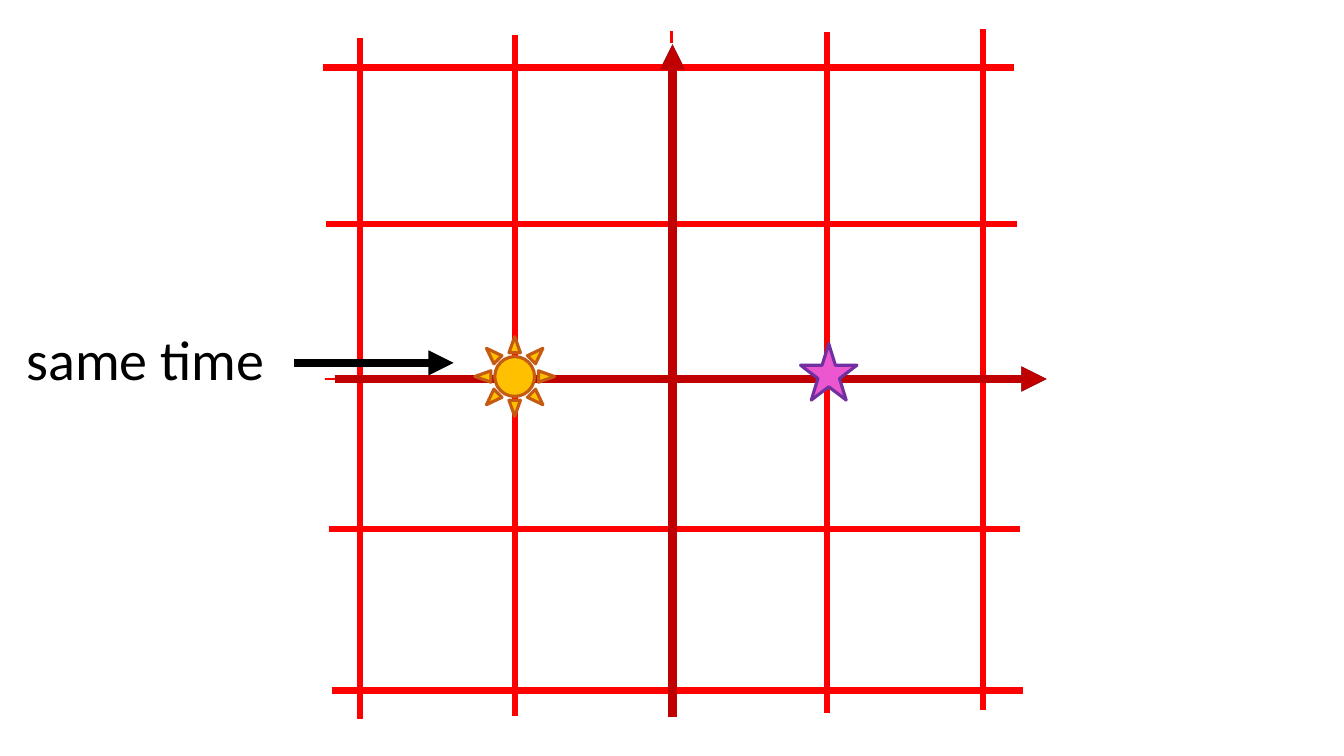
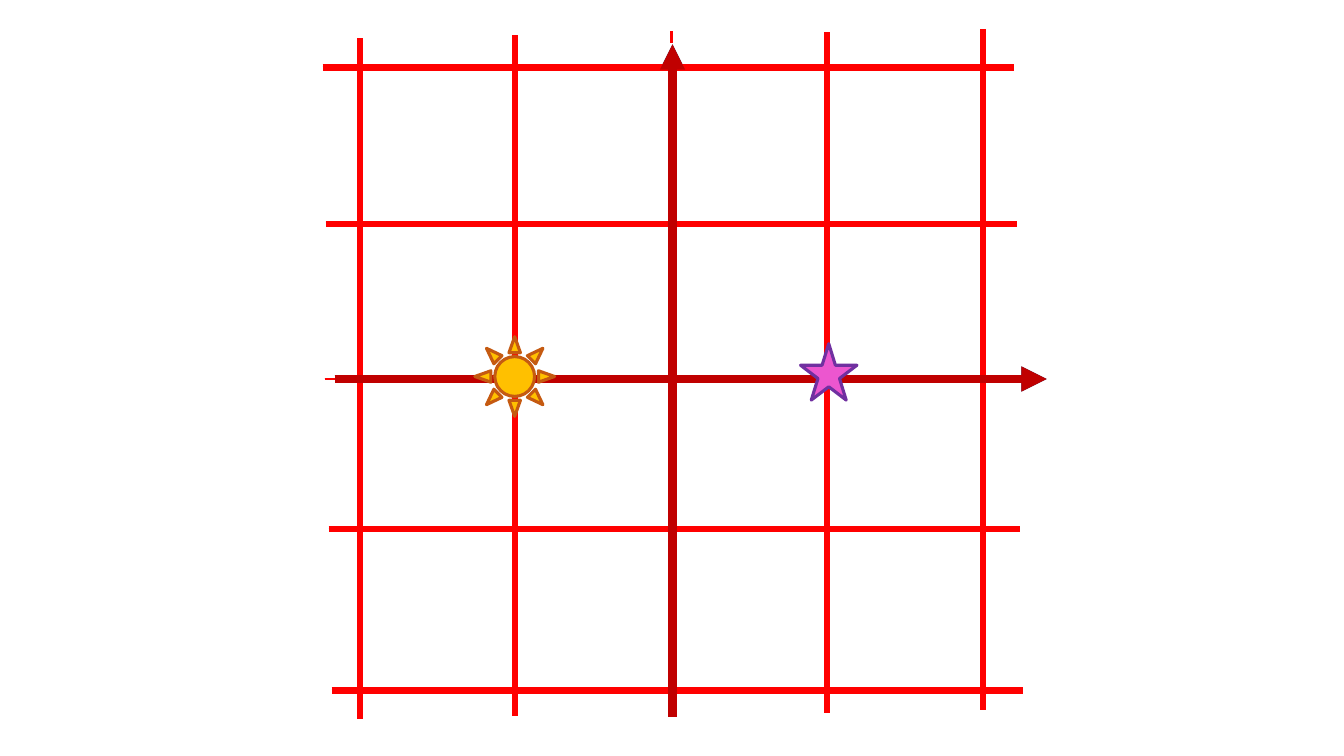
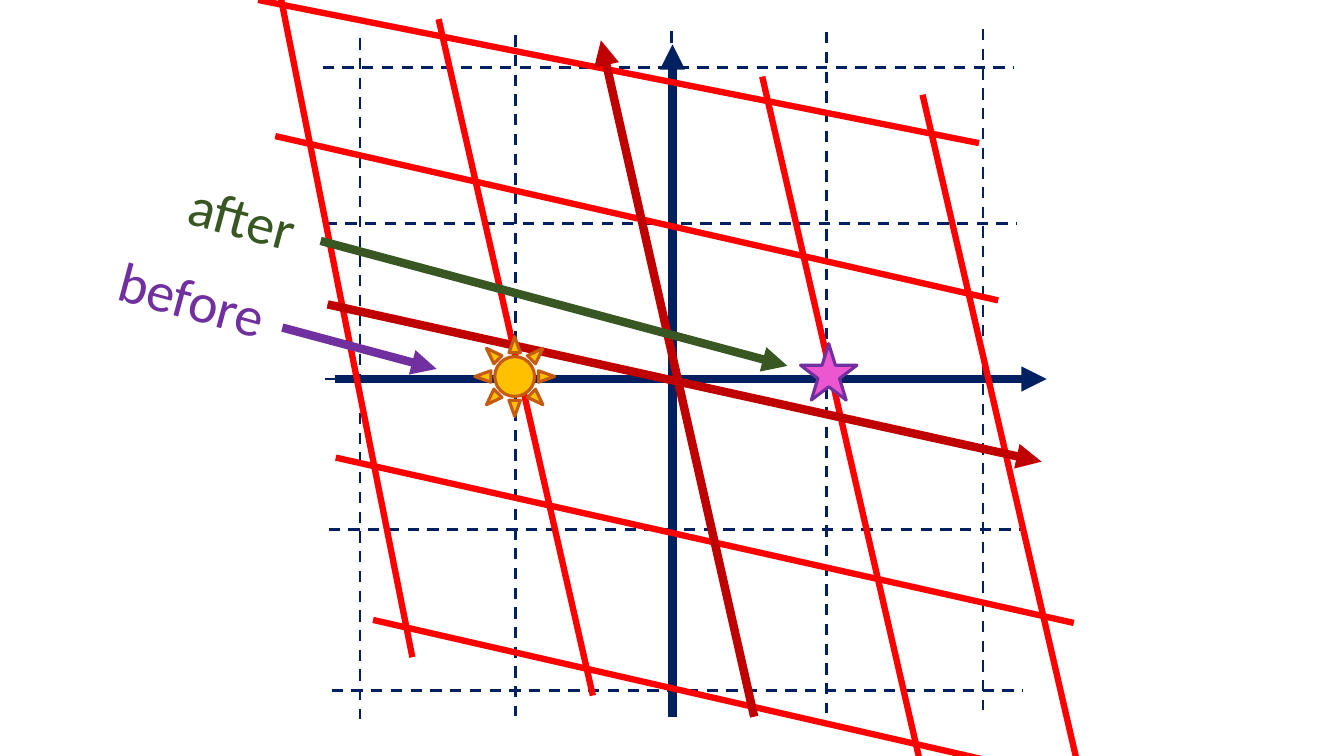
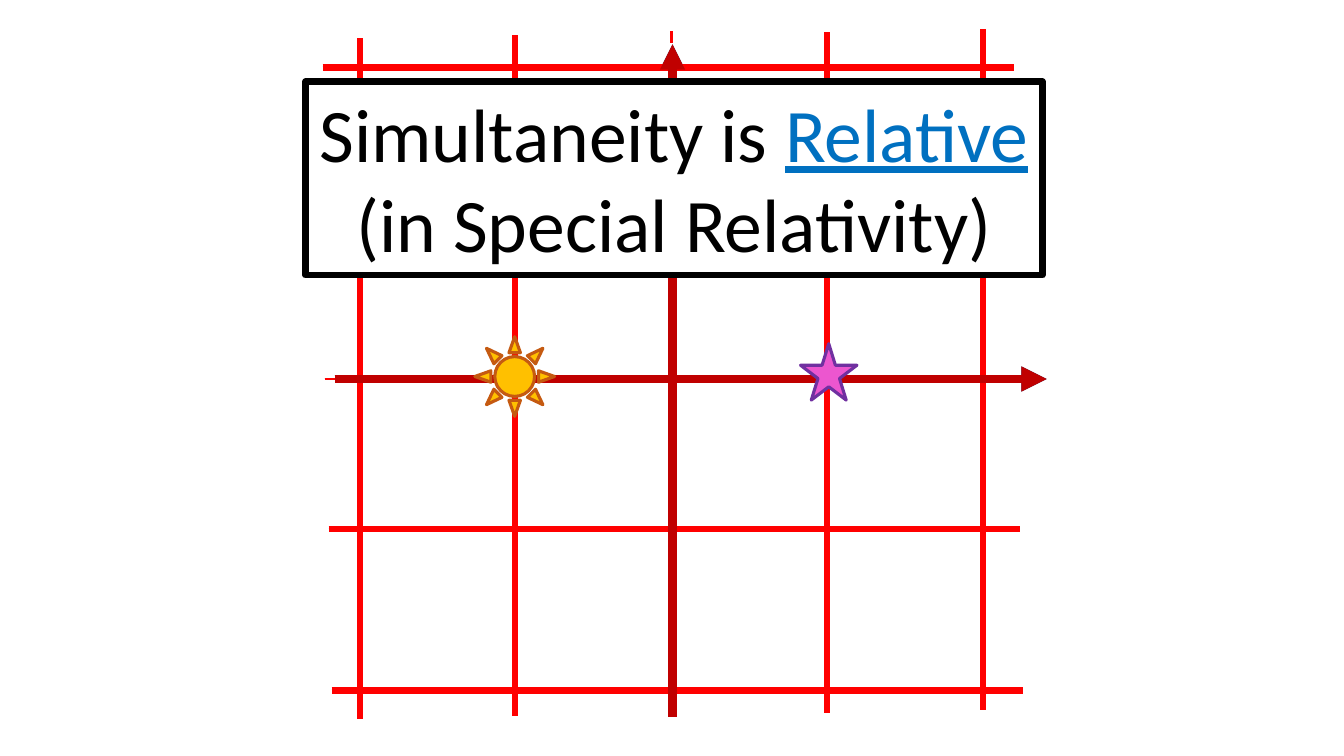
from dataclasses import dataclass
from typing import Sequence, Union

from pptx import Presentation
from pptx.dml.color import RGBColor
from pptx.enum.dml import MSO_LINE_DASH_STYLE as Dash
from pptx.enum.shapes import MSO_CONNECTOR as Connector, MSO_SHAPE as Preset
from pptx.enum.text import MSO_ANCHOR as Anchor, MSO_AUTO_SIZE as AutoSize, PP_ALIGN as Align
from pptx.oxml import parse_xml
from pptx.oxml.ns import nsdecls
from pptx.shapes.shapetree import GroupShapes, SlideShapes
from pptx.slide import Slide
from pptx.util import Emu, Pt

Shapes = Union[SlideShapes, GroupShapes]


def px(length: int) -> Emu:
    """One px is a hundredth of an inch."""
    return Emu(length * 9144)


@dataclass(frozen=True)
class Theme:
    font: str = "Calibri"
    label_size: int = 40
    title_size: int = 54
    thin: float = 2
    outline: float = 2.25
    medium: float = 4.5
    thick: float = 6
    black: str = "000000"
    white: str = "FFFFFF"
    navy: str = "002060"
    red: str = "FF0000"
    dark_red: str = "C00000"
    green: str = "385723"
    purple: str = "7030A0"
    blue: str = "0070C0"
    pink: str = "EC56CF"
    gold: str = "FFC000"
    rust: str = "C55A11"


THEME = Theme()


@dataclass(frozen=True)
class Segment:
    x1: int
    y1: int
    x2: int
    y2: int


@dataclass(frozen=True)
class Frame:
    """Grid lines, dashed lines through the origin, and the two axes."""
    lines: Sequence[Segment]
    centre_lines: Sequence[Segment]
    axes: Sequence[Segment]


@dataclass(frozen=True)
class Label:
    text: str
    left: int
    top: int
    rotation: int
    color: str
    arrow: Segment


@dataclass(frozen=True)
class Event:
    preset: Preset
    left: int
    top: int
    size: int
    fill: str
    outline: str


# Reference frames
def column(x: int, top: int) -> Segment:
    return Segment(x, top, x, top + 675)


def row(y: int, left: int) -> Segment:
    return Segment(left, y, left + 686, y)


COLUMNS = [column(511, 35), column(357, 38), column(820, 32), column(975, 29)]
LOWER_ROWS = [row(525, 326), row(685, 329)]
SECOND_ROW, TOP_ROW = row(222, 323), row(67, 320)
CENTRE_LINES = [column(666, 31), row(376, 322)]
AXES = [Segment(332, 376, 1038, 376), Segment(667, 711, 667, 44)]

REST_FRAME = Frame([*COLUMNS, *LOWER_ROWS, SECOND_ROW, TOP_ROW], CENTRE_LINES, AXES)
TITLE_FRAME = Frame([*COLUMNS, *LOWER_ROWS, TOP_ROW], CENTRE_LINES, AXES)
MOVING_FRAME = Frame(
    lines=[
        Segment(435, 19, 588, 690), Segment(274, -25, 409, 652),
        Segment(756, 76, 916, 771), Segment(915, 94, 1081, 811),
        Segment(333, 454, 1065, 618), Segment(370, 615, 1096, 781),
        Segment(273, 135, 990, 298), Segment(256, 0, 971, 142),
    ],
    centre_lines=[Segment(596, 50, 747, 707), Segment(325, 302, 1024, 457)],
    axes=[Segment(325, 302, 1033, 458), Segment(748, 711, 596, 40)],
)

# Events and their labels
EVENTS = [
    Event(Preset.STAR_5_POINT, 794, 341, 56, THEME.pink, THEME.purple),
    Event(Preset.SUN, 471, 334, 79, THEME.gold, THEME.rust),
]
SAME_TIME = Label("same time", 0, 317, 0, THEME.black, Segment(292, 360, 450, 360))
AFTER = Label("after", 97, 176, 15, THEME.green, Segment(318, 239, 781, 363))
BEFORE = Label("before", 47, 257, 15, THEME.purple, Segment(280, 325, 433, 366))


def rgb(color: str) -> RGBColor:
    return RGBColor.from_string(color)


def draw_line(shapes: Shapes, segment: Segment, color: str, width: float,
              dashed: bool = False, arrow: bool = False) -> None:
    connector = shapes.add_connector(Connector.STRAIGHT, px(segment.x1), px(segment.y1),
                                     px(segment.x2), px(segment.y2))
    line = connector.line
    line.color.rgb = rgb(color)
    line.width = Pt(width)
    if dashed:
        line.dash_style = Dash.DASH
    properties = connector._element.spPr
    if arrow:
        properties.ln.append(parse_xml(f'<a:tailEnd {nsdecls("a")} type="triangle"/>'))
    properties.append(parse_xml(f'<a:effectLst {nsdecls("a")}/>'))


def draw_frame(shapes: Shapes, frame: Frame, color: str, axis_color: str,
               dashed: bool = False) -> None:
    for segment in frame.lines:
        draw_line(shapes, segment, color, THEME.thin if dashed else THEME.medium, dashed)
    for segment in frame.centre_lines:
        draw_line(shapes, segment, color, THEME.thin, dashed=True)
    for segment in frame.axes:
        draw_line(shapes, segment, axis_color, THEME.thick, arrow=True)


def draw_label(shapes: Shapes, label: Label) -> None:
    box = shapes.add_textbox(px(label.left), px(label.top), px(288), px(77))
    box.rotation = label.rotation
    text_frame = box.text_frame
    text_frame.word_wrap = True
    text_frame.auto_size = AutoSize.SHAPE_TO_FIT_TEXT
    paragraph = text_frame.paragraphs[0]
    paragraph.text = label.text
    paragraph.alignment = Align.CENTER
    paragraph.font.name = THEME.font
    paragraph.font.size = Pt(THEME.label_size)
    paragraph.font.color.rgb = rgb(label.color)
    draw_line(shapes, label.arrow, label.color, THEME.thick, arrow=True)


def draw_event(shapes: Shapes, event: Event) -> None:
    shape = shapes.add_shape(event.preset, px(event.left), px(event.top),
                             px(event.size), px(event.size))
    shape.shadow.inherit = False
    shape.fill.solid()
    shape.fill.fore_color.rgb = rgb(event.fill)
    shape.line.color.rgb = rgb(event.outline)
    shape.line.width = Pt(THEME.outline)


def draw_diagram(slide: Slide, front: Frame, back: Frame = REST_FRAME,
                 labels: Sequence[Label] = ()) -> None:
    shapes = slide.shapes
    draw_frame(shapes.add_group_shape().shapes, back, THEME.navy, THEME.navy, dashed=True)
    draw_frame(shapes, front, THEME.red, THEME.dark_red)
    for label in labels:
        draw_label(shapes.add_group_shape().shapes, label)
    events = shapes.add_group_shape().shapes
    for event in EVENTS:
        draw_event(events, event)


def draw_title(slide: Slide) -> None:
    title = slide.shapes.title
    title.left, title.top, title.width, title.height = px(303), px(81), px(731), px(192)
    title.fill.solid()
    title.fill.fore_color.rgb = rgb(THEME.white)
    title.line.color.rgb = rgb(THEME.black)
    title.line.width = Pt(THEME.medium)
    text_frame = title.text_frame
    text_frame.word_wrap = False
    text_frame.auto_size = AutoSize.SHAPE_TO_FIT_TEXT
    text_frame.vertical_anchor = Anchor.TOP
    paragraph = text_frame.paragraphs[0]
    paragraph.alignment = Align.CENTER
    paragraph.font.name = THEME.font
    paragraph.font.size = Pt(THEME.title_size)
    paragraph.font.color.rgb = rgb(THEME.black)
    paragraph.add_run().text = "Simultaneity is "
    emphasis = paragraph.add_run()
    emphasis.text = "Relative"
    emphasis.font.underline = True
    emphasis.font.color.rgb = rgb(THEME.blue)
    paragraph.add_line_break()
    paragraph.add_run().text = "(in Special Relativity)"
    # Bring the title in front of the diagram
    slide.shapes._spTree.append(title._element)


def main() -> None:
    presentation = Presentation()
    presentation.slide_width, presentation.slide_height = px(1333), px(750)
    title_only, blank = presentation.slide_layouts[5], presentation.slide_layouts[6]
    slides = presentation.slides

    draw_diagram(slides.add_slide(blank), REST_FRAME, labels=[SAME_TIME])
    draw_diagram(slides.add_slide(blank), REST_FRAME)
    draw_diagram(slides.add_slide(blank), MOVING_FRAME, labels=[AFTER, BEFORE])

    title_slide = slides.add_slide(title_only)
    draw_diagram(title_slide, TITLE_FRAME, back=TITLE_FRAME)
    draw_title(title_slide)

    presentation.save("out.pptx")


if __name__ == "__main__":
    main()
